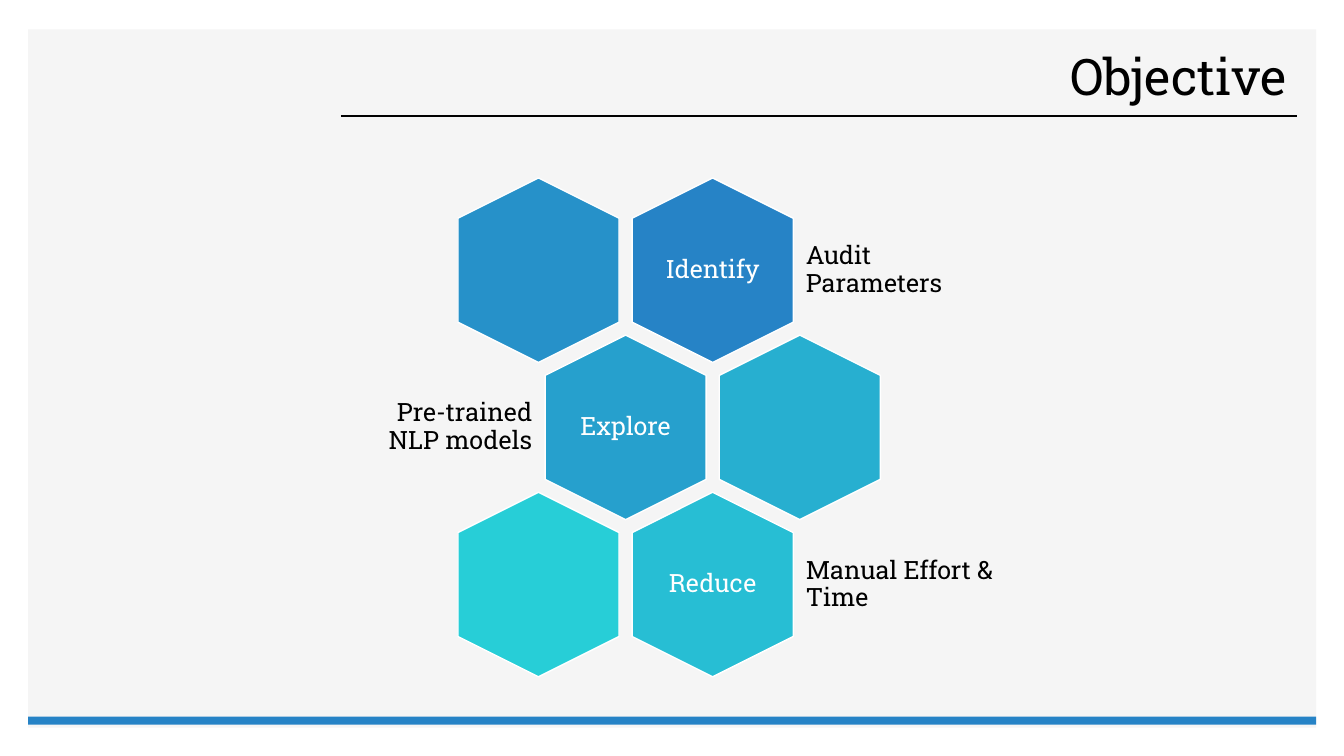
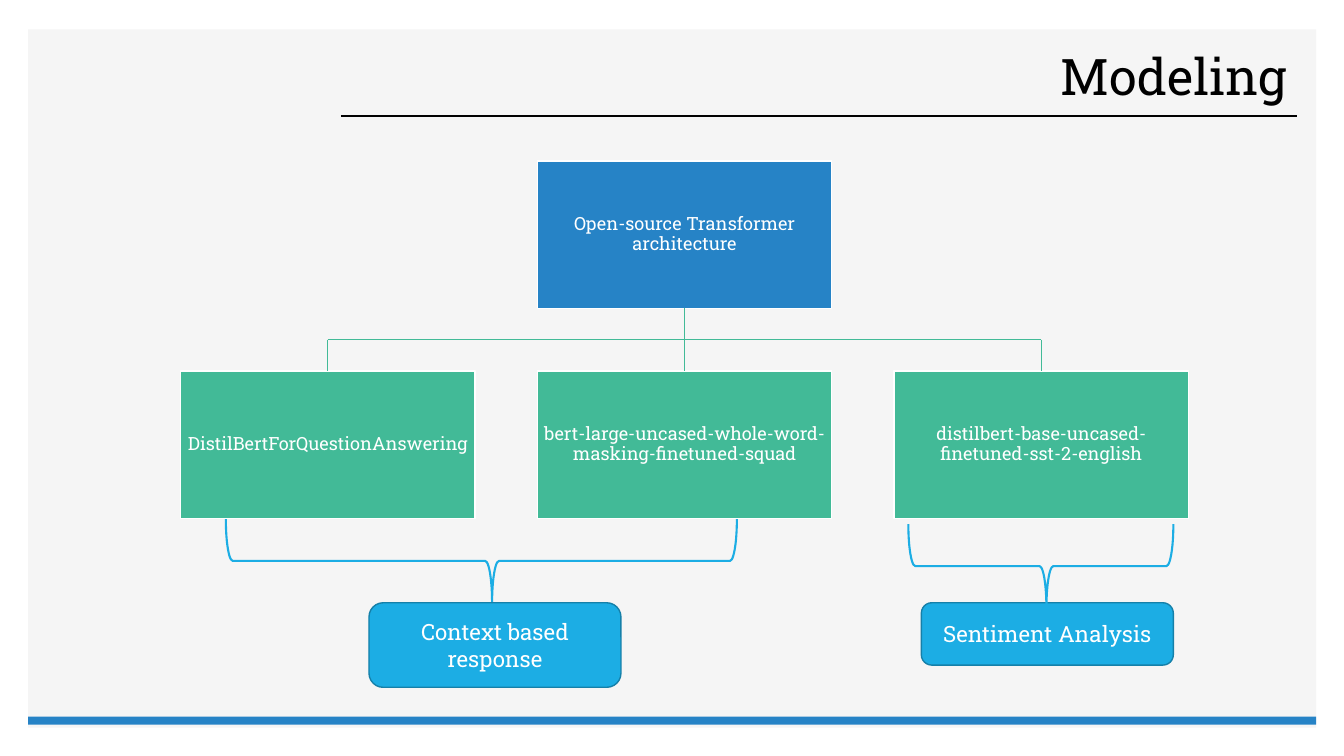
import pptx
import pptx.dml.color
import pptx.enum.shapes
import pptx.enum.text
import pptx.oxml
import pptx.oxml.ns
import pptx.util

Cm = pptx.util.Cm
Pt = pptx.util.Pt
SHAPE = pptx.enum.shapes.MSO_SHAPE
ALIGN = pptx.enum.text.PP_ALIGN
MIDDLE = pptx.enum.text.MSO_ANCHOR.MIDDLE

FONT = "Roboto Slab"
BOX_W, BOX_H = 7.42, 3.71
COLORS = {
    "panel": "F5F5F5",
    "blue": "2683C6",
    "green": "42BA97",
    "sky": "1CADE4",
    "sky edge": "1580A9",
    "white": "FFFFFF",
    "black": "000000",
    "hex 2": "2691C9",
    "hex 3": "26A0CD",
    "hex 4": "27AFD0",
    "hex 5": "27BED4",
    "hex 6": "27CED7",
}


def color(name):
    return pptx.dml.color.RGBColor.from_string(COLORS[name])


class Deck:
    """Holds the shared style and the slide being drawn; lengths are in cm."""

    def __init__(self):
        self.prs = pptx.Presentation()
        self.prs.slide_width, self.prs.slide_height = Cm(33.87), Cm(19.05)
        self.layout = self.prs.slide_layouts[5]
        self.slide = None

    def new_slide(self, heading):
        first = self.slide is None
        self.slide = self.prs.slides.add_slide(self.layout)
        if first:
            self.frame_layout()
        title = self.slide.shapes.title
        title.left, title.top, title.width, title.height = Cm(9.4), Cm(1.07), Cm(23.29), Cm(1.85)
        self.set_text(title, heading, 36, "black", ALIGN.RIGHT, spacing=0.9)

    def frame_layout(self):
        """Put the panel, title rule and bottom band on the layout, behind its placeholders."""
        frame = [
            self.shape(SHAPE.RECTANGLE, 0.71, 0.74, 32.46, 17.6, "panel"),
            self.line((8.59, 2.92), (32.69, 2.92), "black"),
            self.shape(SHAPE.RECTANGLE, 0.71, 18.06, 32.46, 0.2, "blue"),
        ]
        for order, part in enumerate(frame):
            part.element.xpath(".//p:cNvPr")[0].set("id", str(100 + order))
            self.layout.shapes.element.insert(2 + order, part.element)

    def set_text(self, holder, text, size, ink, align=ALIGN.CENTER, spacing=None, inset=None):
        frame = holder.text_frame
        frame.word_wrap = True
        frame.vertical_anchor = MIDDLE
        if inset is not None:
            frame.margin_left = frame.margin_right = Cm(inset)
            frame.margin_top = frame.margin_bottom = Cm(inset)
        frame.text = text
        paragraph = frame.paragraphs[0]
        paragraph.alignment = align
        paragraph.line_spacing = spacing
        paragraph.font.name = FONT
        paragraph.font.size = Pt(size)
        paragraph.font.color.rgb = color(ink)

    def shape(self, kind, x, y, width, height, fill=None, edge=None, weight=1):
        shape = self.slide.shapes.add_shape(kind, Cm(x), Cm(y), Cm(width), Cm(height))
        shape.shadow.inherit = False
        if fill:
            shape.fill.solid()
            shape.fill.fore_color.rgb = color(fill)
        else:
            shape.fill.background()
        if edge:
            shape.line.color.rgb = color(edge)
            shape.line.width = Pt(weight)
        else:
            shape.line.fill.background()
        return shape

    def turned(self, kind, x, y, width, height, **style):
        """Shape rotated a quarter turn so that it covers the given box on the slide."""
        shift = (width - height) / 2
        shape = self.shape(kind, x + shift, y - shift, height, width, **style)
        shape.rotation = 90
        return shape

    def line(self, start, end, ink, start_box=None, end_box=None):
        """Straight line, joined to the bottom of start_box and the top of end_box if given."""
        line = self.slide.shapes.add_connector(
            pptx.enum.shapes.MSO_CONNECTOR.STRAIGHT, *(Cm(v) for v in (*start, *end)))
        if start_box:
            line.begin_connect(start_box, 2)
        if end_box:
            line.end_connect(end_box, 0)
        line.line.color.rgb = color(ink)
        line.line.width = Pt(1)
        properties = line.element.spPr
        properties.append(properties.makeelement(pptx.oxml.ns.qn("a:effectLst"), {}))
        return line

    def label(self, text, x, y, width, height, ink, align=ALIGN.CENTER):
        box = self.slide.shapes.add_textbox(Cm(x), Cm(y), Cm(width), Cm(height))
        self.set_text(box, text, 18, ink, align, spacing=0.9, inset=0.18)

    def hexagon(self, cx, cy, fill):
        width, height = 4.06, 4.65
        self.turned(SHAPE.HEXAGON, cx - width / 2, cy - height / 2, width, height,
                    fill=fill, edge="white")

    def tree_box(self, text, x, y, fill):
        box = self.shape(SHAPE.RECTANGLE, x, y, BOX_W, BOX_H, fill, "white")
        self.set_text(box, text, 13, "white", spacing=0.9, inset=0.03)
        return box

    def brace(self, x, y, width):
        brace = self.turned(SHAPE.RIGHT_BRACE, x, y, width, 2.11, edge="sky", weight=1.5)
        brace.adjustments[0] = 0.083
        brace.adjustments[1] = 0.479

    def task(self, text, x, height):
        box = self.shape(SHAPE.ROUNDED_RECTANGLE, x, 15.19, 6.35, height, "sky", "sky edge")
        self.set_text(box, text, 16, "white")


def objective(deck):
    deck.new_slide("Objective")
    pitch_x, pitch_y = 4.39, 3.96
    label_w, label_h, label_gap = 5.2, 2.79, 2.17
    # Each step: column of the named hexagon, its fill, the fill of its neighbour, texts
    steps = [
        (1, "blue", "hex 2", "Identify", "Audit Parameters"),
        (0, "hex 3", "hex 4", "Explore", "Pre-trained NLP models"),
        (1, "hex 5", "hex 6", "Reduce", "Manual Effort & Time"),
    ]
    for row, (column, fill, neighbour, verb, goal) in enumerate(steps):
        row_x = 13.57 + (row % 2) * pitch_x / 2
        cx, cy = row_x + column * pitch_x, 6.81 + row * pitch_y
        deck.hexagon(cx, cy, fill)
        deck.hexagon(row_x + (1 - column) * pitch_x, cy, neighbour)
        deck.label(verb, cx - 1.4, cy - 1.6, 2.8, 3.2, "white")
        if column:
            goal_x, align = cx + label_gap, ALIGN.LEFT
        else:
            goal_x, align = cx - label_gap - label_w, ALIGN.RIGHT
        deck.label(goal, goal_x, cy - label_h / 2, label_w, label_h, "black", align)


def modeling(deck):
    deck.new_slide("Modeling")
    left, pitch, root_y, models_y = 4.55, 8.99, 4.06, 9.35
    names = [
        "DistilBertForQuestionAnswering",
        "bert-large-uncased-whole-word-masking-finetuned-squad",
        "distilbert-base-uncased-finetuned-sst-2-english",
    ]
    root = deck.tree_box("Open-source Transformer architecture", left + pitch, root_y, "blue")
    models = [deck.tree_box(name, left + i * pitch, models_y, "green")
              for i, name in enumerate(names)]
    centers = [left + i * pitch + BOX_W / 2 for i in range(len(names))]
    root_bottom = root_y + BOX_H
    bus_y = (root_bottom + models_y) / 2
    deck.line((centers[0], bus_y), (centers[2], bus_y), "green")
    deck.line((centers[1], root_bottom), (centers[1], models_y), "green", root, models[1])
    for i in (0, 2):
        deck.line((centers[i], bus_y), (centers[i], models_y), "green", end_box=models[i])

    deck.brace(5.69, 13.08, 12.88)
    deck.task("Context based response", 9.3, 2.13)
    deck.task("Sentiment Analysis", 23.22, 1.57)
    deck.brace(22.89, 13.21, 6.68)


def main():
    deck = Deck()
    objective(deck)
    modeling(deck)
    deck.prs.save("out.pptx")


if __name__ == "__main__":
    main()
